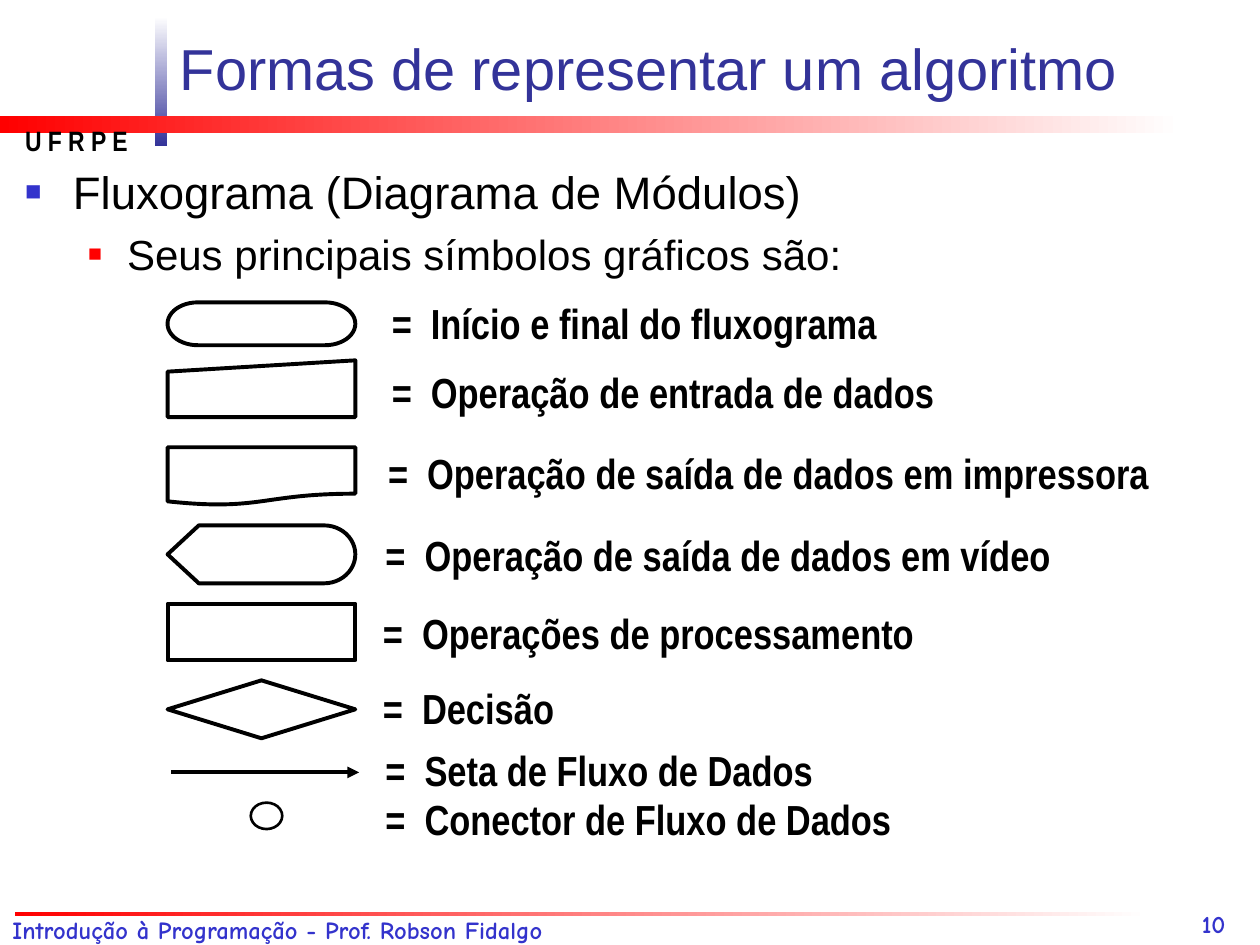
import pptx
import pptx.util
import pptx.dml.color
import pptx.enum.shapes
import pptx.enum.text
import pptx.oxml.ns
import lxml.etree

RGB = pptx.dml.color.RGBColor
WHITE = RGB(0xFF, 0xFF, 0xFF)
BLACK = RGB(0, 0, 0)
RED = RGB(0xFF, 0, 0)
BLUE = RGB(0x33, 0x33, 0xCC)
NAVY = RGB(0x33, 0x33, 0x99)
SHAPE = pptx.enum.shapes.MSO_SHAPE
ANCHOR = pptx.enum.text.MSO_ANCHOR
WIDE, HIGH = 10, 7.5
COLS, ROWS = 100, 75
SIGNS = [
    (SHAPE.FLOWCHART_TERMINATOR, 0.5, 3.4),
    (SHAPE.FLOWCHART_MANUAL_INPUT, 5.1, 4.5),
    (SHAPE.FLOWCHART_DOCUMENT, 12, 4.6),
    (SHAPE.FLOWCHART_DISPLAY, 18.2, 4.6),
    (SHAPE.FLOWCHART_PROCESS, 24.4, 4.5),
    (SHAPE.FLOWCHART_DECISION, 30.5, 4.6),
]
LABELS = [
    ("Início e final do fluxograma", 17.7, 0),
    ("Operação de entrada de dados", 17.7, 5.5),
    ("Operação de saída de dados em impressora", 17.4, 11.9),
    ("Operação de saída de dados em vídeo", 17.2, 18.4),
    ("Operações de processamento", 17, 24.6),
    ("Decisão", 17, 30.6),
    ("Seta de Fluxo de Dados", 17.2, 35.5),
    ("Conector de Fluxo de Dados", 17.2, 39.4),
]


def col(n):
    """Turn grid columns into a length."""
    return pptx.util.Inches(n * WIDE / COLS)


def row(n):
    """Turn grid rows into a length."""
    return pptx.util.Inches(n * HIGH / ROWS)


def place(box, x, y, wide, high):
    """Give the lengths of a part inside a box."""
    return col(box[0] + x), row(box[1] + y), col(wide), row(high)


def node(parent, tag, **attrs):
    """Add a drawing element with its attributes."""
    item = lxml.etree.SubElement(parent, pptx.oxml.ns.qn(tag))
    for key, value in attrs.items():
        item.set(key, str(value))
    return item


def frame(slide, spot, pad=(0.1, 0.05), anchor=ANCHOR.TOP, wrap=True):
    """Add an empty text box and return its frame."""
    text = slide.shapes.add_textbox(*spot).text_frame
    text.word_wrap = wrap
    text.vertical_anchor = anchor
    text.margin_left = text.margin_right = pptx.util.Inches(pad[0])
    text.margin_top = text.margin_bottom = pptx.util.Inches(pad[1])
    return text


def write(para, words, size, face, color, bold=False):
    """Add one styled run to a paragraph."""
    run = para.add_run()
    run.text = words
    run.font.size = pptx.util.Pt(size)
    run.font.name = face
    run.font.color.rgb = color
    run.font.bold = bold


def bar(slide, spot, color, angle):
    """Add a bar that fades from white to a colour."""
    shape = slide.shapes.add_shape(SHAPE.RECTANGLE, *spot)
    shape.shadow.inherit = False
    shape.line.fill.background()
    shape.fill.gradient()
    shape.fill.gradient_angle = angle
    for stop, tone in zip(shape.fill.gradient_stops, (WHITE, color)):
        stop.color.rgb = tone


def bullet(para, left, hang, color, size):
    """Give a paragraph a square bullet and a hanging indent."""
    props = para._p.get_or_add_pPr()
    props.set("marL", str(col(left)))
    props.set("indent", str(-col(hang)))
    node(node(props, "a:buClr"), "a:srgbClr", val=color)
    node(props, "a:buSzPct", val=size * 1000)
    node(props, "a:buFont", typeface="Arial")
    node(props, "a:buChar", char="■")


def header(slide, box):
    """Draw the crossing bars, the school name and the title."""
    bar(slide, place(box, 12.3, 1.3, 1, 10.3), NAVY, 270)
    bar(slide, place(box, 0, 9.2, 93.8, 1.4), RED, 180)
    text = frame(slide, place(box, 1, 9.3, 10.2, 3.7), wrap=False)
    write(text.paragraphs[0], "U F R P E", 16, "Arial Narrow", BLACK, True)
    text = frame(slide, place(box, 13.3, 1.8, 86.7, 6.8), anchor=ANCHOR.BOTTOM)
    write(text.paragraphs[0], "Formas de representar um algoritmo", 33, "Arial", NAVY)


def body(slide, box):
    """Write the two bulleted lines."""
    text = frame(slide, place(box, 0, 0, 97.9, 10.5))
    first, second = text.paragraphs[0], text.add_paragraph()
    second.level = 1
    second.space_before = pptx.util.Pt(6)
    bullet(first, 3.8, 3.8, BLUE, 60)
    bullet(second, 8.1, 3.1, RED, 55)
    write(first, "Fluxograma (Diagrama de Módulos)", 26, "Arial", BLACK)
    write(second, "Seus principais símbolos gráficos são:", 24, "Arial", BLACK)


def sign(slide, kind, spot, weight):
    """Draw one flowchart symbol and return it."""
    shape = slide.shapes.add_shape(kind, *spot)
    shape.shadow.inherit = False
    shape.fill.solid()
    shape.fill.fore_color.rgb = WHITE
    shape.line.color.rgb = BLACK
    shape.line.width = pptx.util.Pt(weight)


def arrow(slide, box, x, y, wide):
    """Draw a level arrow inside a box."""
    left, top, span, rise = place(box, x, y, wide, 0)
    kind = pptx.enum.shapes.MSO_CONNECTOR.STRAIGHT
    line = slide.shapes.add_connector(kind, left, top, left + span, top + rise)
    line.line.color.rgb = BLACK
    line.line.width = pptx.util.Pt(2.25)
    node(line.line._get_or_add_ln(), "a:tailEnd", type="triangle")
    node(line._element.spPr, "a:effectLst")


def legend(slide, box):
    """Draw the symbols and their meanings."""
    for kind, y, high in SIGNS:
        sign(slide, kind, place(box, 0, y, 14.9, high), 2.25)
    arrow(slide, box, 0.3, 37.8, 14.9)
    sign(slide, SHAPE.FLOWCHART_CONNECTOR, place(box, 6.6, 40.2, 2.5, 2.1), 1.5)
    for words, x, y in LABELS:
        text = frame(slide, place(box, x, y, 64.3, 3.2), (0.01, 0.01))
        para = text.paragraphs[0]
        tabs = node(para._p.get_or_add_pPr(), "a:tabLst")
        node(tabs, "a:tab", pos=col(3.1), algn="l")
        write(para, "=\t" + words, 24, "Arial Narrow", BLACK, True)


def footer(slide, box):
    """Draw the rule, the course name and the page number."""
    bar(slide, place(box, 1.2, 2.2, 90, 0.3), RED, 180)
    text = frame(slide, place(box, 0, 1.9, 62.7, 2.9))
    words = "Introdução à Programação - Prof. Robson Fidalgo"
    write(text.paragraphs[0], words, 14, "Comic Neue", BLUE, True)
    text = frame(slide, place(box, 94.4, 0, 5.6, 4.8), anchor=ANCHOR.BOTTOM)
    write(text.paragraphs[0], "10", 14, "Comic Neue", BLUE, True)


def main():
    """Build and save the slide."""
    deck = pptx.Presentation()
    deck.slide_width, deck.slide_height = col(COLS), row(ROWS)
    slide = deck.slides.add_slide(deck.slide_layouts[6])
    header(slide, (0, 0))
    body(slide, (1, 12.5))
    legend(slide, (13.3, 23.5))
    footer(slide, (0, 70.2))
    deck.save("out.pptx")


if __name__ == "__main__":
    main()
